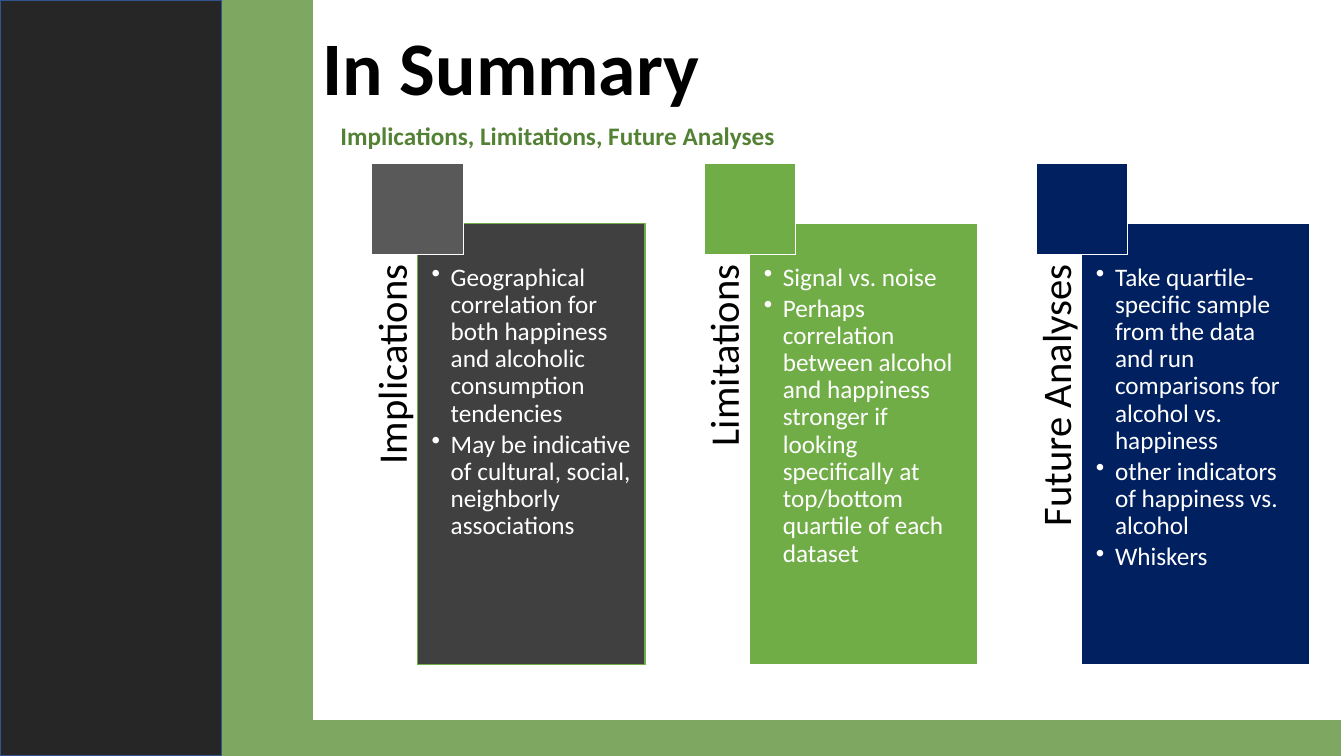
import dataclasses

import lxml.etree
import pptx
import pptx.dml.color
import pptx.enum.shapes
import pptx.enum.text
import pptx.oxml.ns
import pptx.util

Cm = pptx.util.Cm
Pt = pptx.util.Pt
Align = pptx.enum.text.PP_ALIGN
Anchor = pptx.enum.text.MSO_ANCHOR

FONT = "Calibri"
BLACK, WHITE, GREEN = "000000", "FFFFFF", "7EA861"


@dataclasses.dataclass
class Block:
    left: float
    top: float
    width: float
    height: float
    fill: str
    line: str | None = None


@dataclasses.dataclass
class Column:
    label: str
    square_fill: str
    panel_fill: str
    panel_line: str
    points: list[str]


BACKDROP = [
    Block(0, 0, 33.87, 19.05, WHITE),
    Block(6.93, 18.16, 26.85, 0.89, GREEN, GREEN),
    Block(2.79, 0, 5.08, 19.05, GREEN, GREEN),
    Block(0, 0, 5.59, 19.05, "262626", "325491"),
]

COLUMNS = [
    Column("Implications", "595959", "404040", "70AD47", [
        "Geographical correlation for both happiness and alcoholic consumption tendencies",
        "May be indicative of cultural, social, neighborly associations",
    ]),
    Column("Limitations", "70AD47", "70AD47", WHITE, [
        "Signal vs. noise",
        "Perhaps correlation between alcohol and happiness stronger if looking "
        "specifically at top/bottom quartile of each dataset",
    ]),
    Column("Future Analyses", "002060", "002060", WHITE, [
        "Take quartile-specific sample from the data and run comparisons for alcohol vs. happiness",
        "other indicators of happiness vs. alcohol",
        "Whiskers",
    ]),
]

# Column geometry in centimetres
FIRST_LEFT, PITCH = 9.37, 8.37
SQUARE_TOP, SQUARE_SIZE = 4.11, 2.31
PANEL_TOP, PANEL_WIDTH, PANEL_HEIGHT = 5.64, 5.74, 11.1
LABEL_WIDTH = 1.15


def colour(code: str) -> pptx.dml.color.RGBColor:
    return pptx.dml.color.RGBColor.from_string(code)


def add_block(page, block: Block):
    shape = page.shapes.add_shape(
        pptx.enum.shapes.MSO_SHAPE.RECTANGLE,
        Cm(block.left), Cm(block.top), Cm(block.width), Cm(block.height))
    shape.shadow.inherit = False
    shape.fill.solid()
    shape.fill.fore_color.rgb = colour(block.fill)
    if block.line:
        shape.line.color.rgb = colour(block.line)
        shape.line.width = Pt(1)
    else:
        shape.line.fill.background()
    return shape


def set_margins(frame, left: float, top: float, right: float, bottom: float) -> None:
    frame.margin_left, frame.margin_top = Cm(left), Cm(top)
    frame.margin_right, frame.margin_bottom = Cm(right), Cm(bottom)


def format_text(frame, size: float, code: str, align=Align.LEFT,
                bold: bool = False, spacing: float = 0.9) -> None:
    frame.word_wrap = True
    for para in frame.paragraphs:
        para.alignment = align
        para.line_spacing = spacing
        for span in para.runs:
            span.font.name = FONT
            span.font.size = Pt(size)
            span.font.bold = bold
            span.font.color.rgb = colour(code)


def add_box(page, text: str, left: float, top: float, width: float, height: float):
    box = page.shapes.add_textbox(Cm(left), Cm(top), Cm(width), Cm(height))
    box.text_frame.text = text
    return box


def add_bullet(para) -> None:
    properties = para._p.get_or_add_pPr()
    properties.set("marL", str(Cm(0.48)))
    properties.set("indent", str(Cm(-0.48)))
    bullet = lxml.etree.SubElement(properties, pptx.oxml.ns.qn("a:buChar"))
    bullet.set("char", "•")


def add_column(page, column: Column, left: float) -> None:
    # Label reading upwards, beside the panel
    middle_x = left + LABEL_WIDTH / 2
    middle_y = PANEL_TOP + PANEL_HEIGHT / 2
    label = add_box(page, column.label, middle_x - PANEL_HEIGHT / 2,
                    middle_y - LABEL_WIDTH / 2, PANEL_HEIGHT, LABEL_WIDTH)
    label.rotation = 270
    set_margins(label.text_frame, 0, 0, 1.02, 0)
    format_text(label.text_frame, 29, BLACK, Align.RIGHT)

    # Panel with its bullet points
    panel = add_block(page, Block(left + LABEL_WIDTH, PANEL_TOP, PANEL_WIDTH,
                                  PANEL_HEIGHT, column.panel_fill, column.panel_line))
    frame = panel.text_frame
    frame.text = "\n".join(column.points)
    frame.vertical_anchor = Anchor.TOP
    set_margins(frame, 0.36, 1.02, 0.36, 0.36)
    format_text(frame, 18, WHITE)
    for para in frame.paragraphs:
        para.space_after = Pt(2.7)
        add_bullet(para)

    # Corner square
    add_block(page, Block(left, SQUARE_TOP, SQUARE_SIZE, SQUARE_SIZE,
                          column.square_fill, WHITE))


def main() -> None:
    deck = pptx.Presentation()
    deck.slide_width, deck.slide_height = Cm(33.87), Cm(19.05)
    page = deck.slides.add_slide(deck.slide_layouts[6])

    for block in BACKDROP:
        add_block(page, block)

    # Headings
    title = add_box(page, "In Summary", 4.14, 0.61, 13.74, 2.34)
    title.text_frame.vertical_anchor = Anchor.BOTTOM
    format_text(title.text_frame, 54, BLACK, Align.RIGHT, bold=True)
    subtitle = add_box(page, "Implications, Limitations, Future Analyses",
                       8.33, 2.9, 18.31, 1.02)
    format_text(subtitle.text_frame, 18, "548235", bold=True, spacing=1.0)

    for index, column in enumerate(COLUMNS):
        add_column(page, column, FIRST_LEFT + index * PITCH)

    deck.save("out.pptx")


if __name__ == "__main__":
    main()
